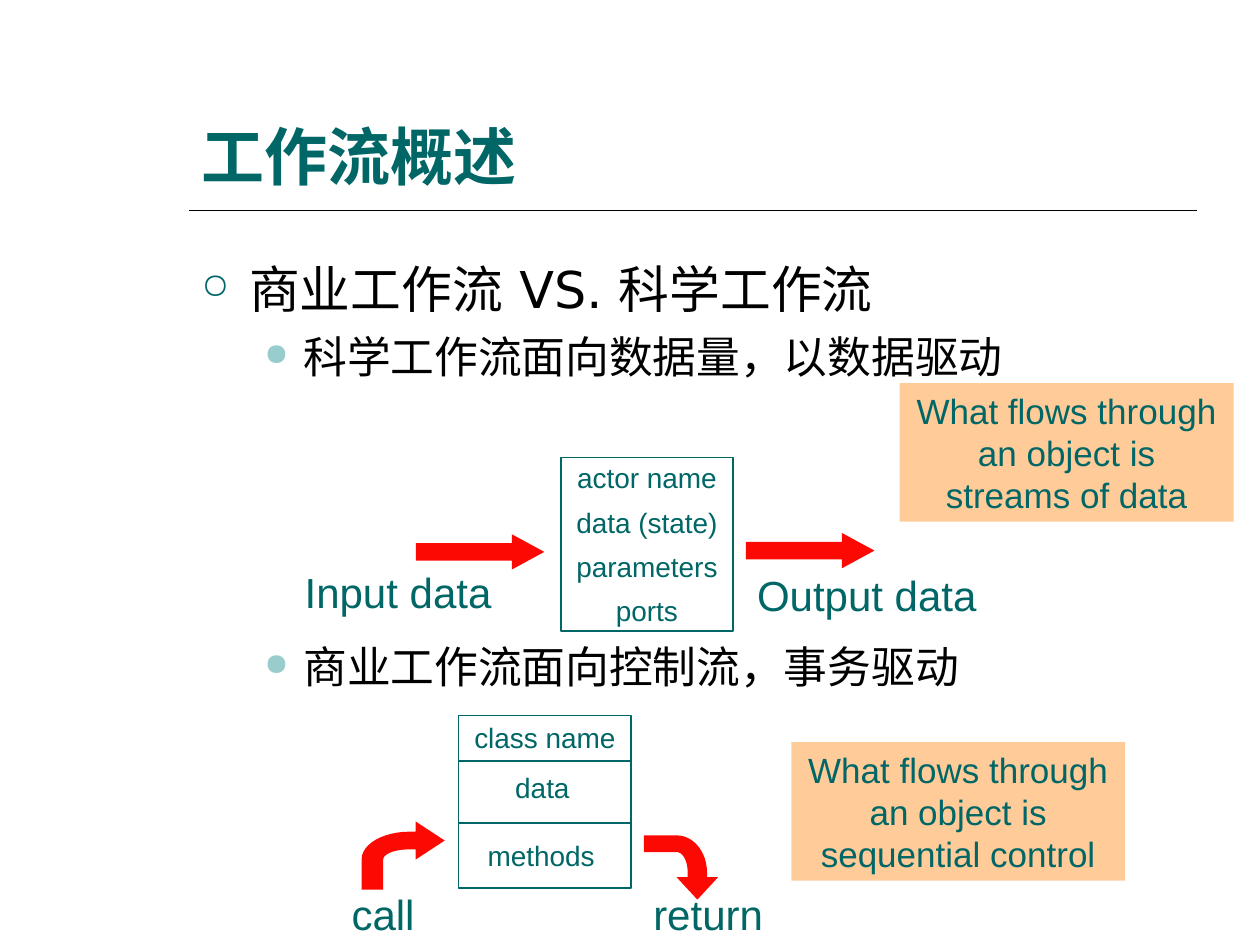
from lxml import etree
from pptx import Presentation
from pptx.dml.color import RGBColor
from pptx.enum import shapes, text
from pptx.oxml import ns
from pptx.util import Inches, Pt

COLORS = {"teal": "006666", "mint": "99CCCC", "black": "000000",
          "red": "FD0903", "peach": "FFCC99"}
LABEL = {"name": "Arial", "size": Pt(16)}
FLOW = {"name": "Arial", "size": Pt(24)}
NOTE = {"name": "Arial", "size": Pt(20)}
TITLE = {"name": "Arial", "size": Pt(36), "bold": True}

# Bent arrow on a unit square: a 2-tuple is a corner, a triple is a Bezier curve
BENT_ARROW = [
    (0, 1), (0, 0.56), ((0, 0.33), (0.26, 0.15), (0.58, 0.15)),
    (0.65, 0.15), (0.65, 0), (1, 0.28), (0.65, 0.56), (0.65, 0.41),
    (0.58, 0.41), ((0.39, 0.41), (0.26, 0.48), (0.26, 0.56)), (0.26, 1),
]


def rgb(color):
    return RGBColor.from_string(COLORS[color])


def inches(*values):
    return [Inches(value) for value in values]


def style(paragraph, font_format, color="teal"):
    for name, value in font_format.items():
        setattr(paragraph.font, name, value)
    paragraph.font.color.rgb = rgb(color)
    # East Asian characters take the same typeface
    latin = paragraph.font._element.find(ns.qn("a:latin"))
    east_asian = etree.Element(ns.qn("a:ea"), typeface=font_format["name"])
    latin.addnext(east_asian)


def paint(shape, fill=None, line=None):
    shape.shadow.inherit = False
    if fill:
        shape.fill.solid()
        shape.fill.fore_color.rgb = rgb(fill)
    else:
        shape.fill.background()
    if line:
        shape.line.color.rgb = rgb(line)
        shape.line.width = Pt(1)
    else:
        shape.line.fill.background()


def add_rule(parent, x1, x2, y, color):
    rule = parent.add_connector(shapes.MSO_CONNECTOR.STRAIGHT,
                                *inches(x1, y, x2, y))
    rule.line.color.rgb = rgb(color)
    rule.line.width = Pt(1)
    etree.SubElement(rule._element.spPr, ns.qn("a:effectLst"))


def add_label(parent, wording, center, top, font_format, width=1.4):
    label = parent.add_textbox(
        *inches(center - width / 2, top, width, 0.4))
    frame = label.text_frame
    frame.word_wrap = False
    frame.text = wording
    frame.paragraphs[0].alignment = text.PP_ALIGN.CENTER
    style(frame.paragraphs[0], font_format)


def add_note(parent, wording, left, top):
    note = parent.add_shape(shapes.MSO_SHAPE.RECTANGLE,
                            *inches(left, top, 2.65, 1.1))
    paint(note, fill="peach")
    frame = note.text_frame
    frame.word_wrap = True
    frame.vertical_anchor = text.MSO_ANCHOR.TOP
    frame.text = wording
    frame.paragraphs[0].alignment = text.PP_ALIGN.CENTER
    style(frame.paragraphs[0], NOTE)


def add_box(parent, left, top, width, height):
    box = parent.add_shape(shapes.MSO_SHAPE.RECTANGLE,
                           *inches(left, top, width, height))
    paint(box, line="teal")


def add_straight_arrow(parent, left, top):
    arrow = parent.add_shape(shapes.MSO_SHAPE.RIGHT_ARROW,
                             *inches(left, top, 1.02, 0.28))
    arrow.adjustments[1] = 0.92
    paint(arrow, fill="red")


def bezier(start, control1, control2, end, steps=12):
    for step in range(1, steps + 1):
        t = step / steps
        weights = ((1 - t) ** 3, 3 * t * (1 - t) ** 2,
                   3 * t * t * (1 - t), t ** 3)
        points = (start, control1, control2, end)
        yield tuple(sum(w * p[axis] for w, p in zip(weights, points))
                    for axis in (0, 1))


def add_bent_arrow(parent, left, top, width, height, turned=False):
    outline = []
    for part in BENT_ARROW:
        outline.extend(bezier(outline[-1], *part) if len(part) == 3 else [part])
    if turned:  # quarter turn clockwise
        outline = [(1 - y, x) for x, y in outline]
    points = [inches(left + x * width, top + y * height) for x, y in outline]
    builder = parent.build_freeform(*points[0])
    builder.add_line_segments(points[1:], close=True)
    paint(builder.convert_to_shape(), fill="red")


def add_title(slide, left, top, width, height):
    title = slide.shapes.title
    place = dict(zip(("left", "top", "width", "height"),
                     inches(left, top, width, height)))
    for name, value in place.items():
        setattr(title, name, value)
    frame = title.text_frame
    frame.vertical_anchor = text.MSO_ANCHOR.BOTTOM
    frame.text = "工作流概述"
    frame.paragraphs[0].alignment = text.PP_ALIGN.LEFT
    style(frame.paragraphs[0], TITLE)
    add_rule(slide.shapes, left, left + width, top + height + 0.09, "black")


def add_bullet(paragraph, symbol, color, margin, hanging):
    properties = paragraph._p.get_or_add_pPr()
    properties.set("marL", str(Inches(margin)))
    properties.set("indent", str(-Inches(hanging)))
    bullet_color = etree.SubElement(properties, ns.qn("a:buClr"))
    etree.SubElement(bullet_color, ns.qn("a:srgbClr"), val=COLORS[color])
    etree.SubElement(properties, ns.qn("a:buSzPct"), val="70000")
    etree.SubElement(properties, ns.qn("a:buChar"), char=symbol)


def add_outline(slide, left, top, width, height):
    frame = slide.shapes.add_textbox(
        *inches(left, top, width, height)).text_frame
    frame.word_wrap = True
    topic = ("○", "teal", 0.38, 0.38)
    point = ("●", "mint", 0.81, 0.31)
    # The last point leaves room for the actor diagram above it
    entries = [("商业工作流 VS. 科学工作流", topic, 29, 0),
               ("科学工作流面向数据量，以数据驱动", point, 25, 6.2),
               ("商业工作流面向控制流，事务驱动", point, 25, 147)]
    for index, (wording, bullet, size, gap) in enumerate(entries):
        paragraph = frame.add_paragraph() if index else frame.paragraphs[0]
        paragraph.text = wording
        add_bullet(paragraph, *bullet)
        if gap:
            paragraph.space_before = Pt(gap)
        style(paragraph, {"name": "DejaVu Sans", "size": Pt(size)}, "black")


def add_actor_diagram(slide, left, top, width, height):
    parts = slide.shapes.add_group_shape().shapes
    center = left + width / 2
    add_box(parts, left, top, width, height)
    for row, wording in enumerate(
            ["actor name", "data (state)", "parameters", "ports"]):
        add_label(parts, wording, center, top - 0.02 + row * 0.35, LABEL)
    add_straight_arrow(parts, left - 1.15, top + 0.61)
    add_straight_arrow(parts, left + width + 0.1, top + 0.6)
    add_label(parts, "Input data", left - 1.29, top + 0.82, FLOW, 1.7)
    add_label(parts, "Output data", left + 2.43, top + 0.84, FLOW, 1.94)
    add_note(parts, "What flows through an object is streams of data",
             left + 2.69, top - 0.59)


def add_class_diagram(slide, left, top, width, height):
    parts = slide.shapes.add_group_shape().shapes
    center = left + width / 2
    add_box(parts, left, top, width, height)
    for offset in (0.36, 0.85):
        add_rule(parts, left, left + width, top + offset, "teal")
    for wording, offset, shift in [("class name", -0.01, 0),
                                   ("data", 0.39, -0.02),
                                   ("methods", 0.93, -0.03)]:
        add_label(parts, wording, center + shift, top + offset, LABEL)
    add_bent_arrow(parts, left - 0.77, top + 0.84, 0.66, 0.54)
    add_bent_arrow(parts, left + 1.47, top + 0.95, 0.59, 0.51, turned=True)
    add_label(parts, "call", left - 0.6, top + 1.32, FLOW, 0.84)
    add_label(parts, "return", left + 1.98, top + 1.32, FLOW, 1.18)
    add_note(parts, "What flows through an object is sequential control",
             left + 2.64, top + 0.21)


def main():
    deck = Presentation()
    deck.slide_width, deck.slide_height = inches(10, 7.5)
    slide = deck.slides.add_slide(deck.slide_layouts[5])
    add_title(slide, 1.5, 0.33, 8, 1.25)
    add_outline(slide, 1.5, 2, 8, 4.5)
    add_actor_diagram(slide, 4.45, 3.63, 1.37, 1.38)
    add_class_diagram(slide, 3.64, 5.68, 1.37, 1.37)
    deck.save("out.pptx")


if __name__ == "__main__":
    main()
